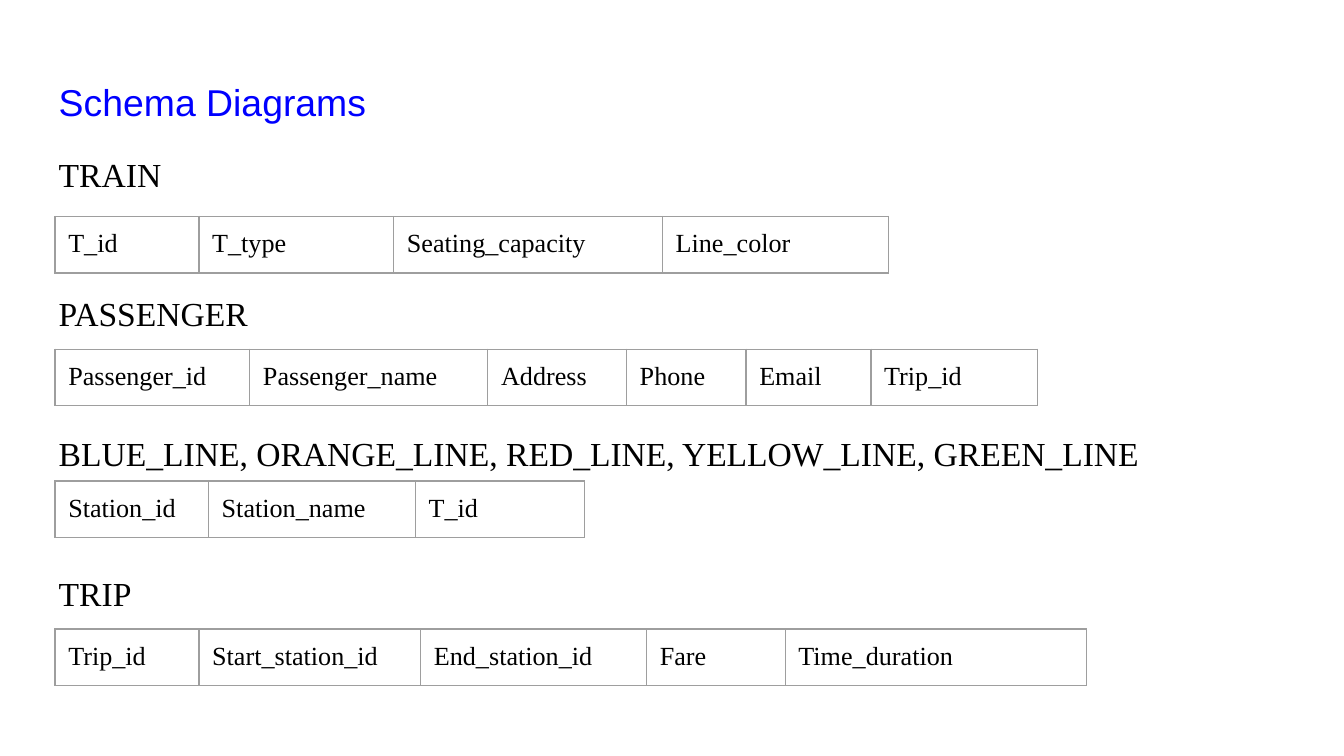
import pptx
import pptx.dml.color
import pptx.enum.text
import pptx.oxml.ns
import pptx.util
from lxml import etree

Cm = pptx.util.Cm
Pt = pptx.util.Pt

# Relation name, top of its table, and (column, width) pairs; lengths in cm
RELATIONS = [
    ("TRAIN", 4.09,
     [("T_id", 2.72), ("T_type", 3.68), ("Seating_capacity", 5.08), ("Line_color", 4.27)]),
    ("PASSENGER", 6.6,
     [("Passenger_id", 3.68), ("Passenger_name", 4.5), ("Address", 2.62),
      ("Phone", 2.26), ("Email", 2.36), ("Trip_id", 3.15)]),
    ("BLUE_LINE, ORANGE_LINE, RED_LINE, YELLOW_LINE, GREEN_LINE", 9.09,
     [("Station_id", 2.9), ("Station_name", 3.91), ("T_id", 3.2)]),
    ("TRIP", 11.89,
     [("Trip_id", 2.72), ("Start_station_id", 4.19), ("End_station_id", 4.27),
      ("Fare", 2.62), ("Time_duration", 5.69)]),
]


def color(hex_string):
    return pptx.dml.color.RGBColor.from_string(hex_string)


def write(paragraph, text, font="Times New Roman", size=18, fill="000000",
          before=0, spacing=1.0):
    """Add formatted text to a left-aligned paragraph without a bullet."""
    run = paragraph.add_run()
    run.text = text
    run.font.name = font
    run.font.size = Pt(size)
    run.font.color.rgb = color(fill)
    paragraph.alignment = pptx.enum.text.PP_ALIGN.LEFT
    paragraph.space_before = Pt(before)
    paragraph.line_spacing = spacing
    properties = paragraph._p.get_or_add_pPr()
    properties.set("marL", "0")
    properties.set("indent", "0")
    etree.SubElement(properties, pptx.oxml.ns.qn("a:buNone"))


class SchemaSlide:
    margin = Cm(0.25)
    text_left, text_width = Cm(0.86), Cm(23.67)
    table_left, row_height = Cm(1.04), Cm(1.07)
    border_color, border_width = "9E9E9E", Pt(0.75)

    def __init__(self, presentation):
        self.slide = presentation.slides.add_slide(presentation.slide_layouts[1])

    def set_margins(self, holder):
        holder.margin_left = holder.margin_right = self.margin
        holder.margin_top = holder.margin_bottom = self.margin
        holder.vertical_anchor = pptx.enum.text.MSO_ANCHOR.TOP

    def place(self, shape, top, height):
        shape.left, shape.top = self.text_left, Cm(top)
        shape.width, shape.height = self.text_width, Cm(height)
        frame = shape.text_frame
        frame.word_wrap = True
        frame.auto_size = pptx.enum.text.MSO_AUTO_SIZE.NONE
        self.set_margins(frame)
        return frame

    def title(self, text):
        frame = self.place(self.slide.shapes.title, 1.24, 1.32)
        write(frame.paragraphs[0], text, font="Arial", size=20, fill="0000FF")

    def headings(self, names):
        frame = self.place(self.slide.placeholders[1], 2.54, 10.9)
        for index, name in enumerate(names):
            paragraph = frame.add_paragraph() if index else frame.paragraphs[0]
            write(paragraph, name, before=50 if index else 0, spacing=1.15)

    def border(self, cell):
        properties = cell._tc.get_or_add_tcPr()
        for side in ("lnL", "lnR", "lnT", "lnB"):
            line = etree.SubElement(properties, pptx.oxml.ns.qn(f"a:{side}"),
                                    w=str(self.border_width))
            fill = etree.SubElement(line, pptx.oxml.ns.qn("a:solidFill"))
            etree.SubElement(fill, pptx.oxml.ns.qn("a:srgbClr"), val=self.border_color)

    def table(self, top, columns):
        width = Cm(sum(column_width for _, column_width in columns))
        table = self.slide.shapes.add_table(
            1, len(columns), self.table_left, Cm(top), width, self.row_height).table
        table.first_row = table.horz_banding = False
        for index, (name, column_width) in enumerate(columns):
            table.columns[index].width = Cm(column_width)
            cell = table.cell(0, index)
            self.set_margins(cell)
            self.border(cell)
            cell.fill.background()
            write(cell.text_frame.paragraphs[0], name, size=14)


def main():
    presentation = pptx.Presentation()
    presentation.slide_width, presentation.slide_height = Cm(25.4), Cm(14.29)
    schema = SchemaSlide(presentation)

    # Title and relation names
    schema.title("Schema Diagrams")
    schema.headings([name for name, _, _ in RELATIONS])

    # One single-row table per relation
    for _, top, columns in RELATIONS:
        schema.table(top, columns)

    presentation.save("out.pptx")


if __name__ == "__main__":
    main()
